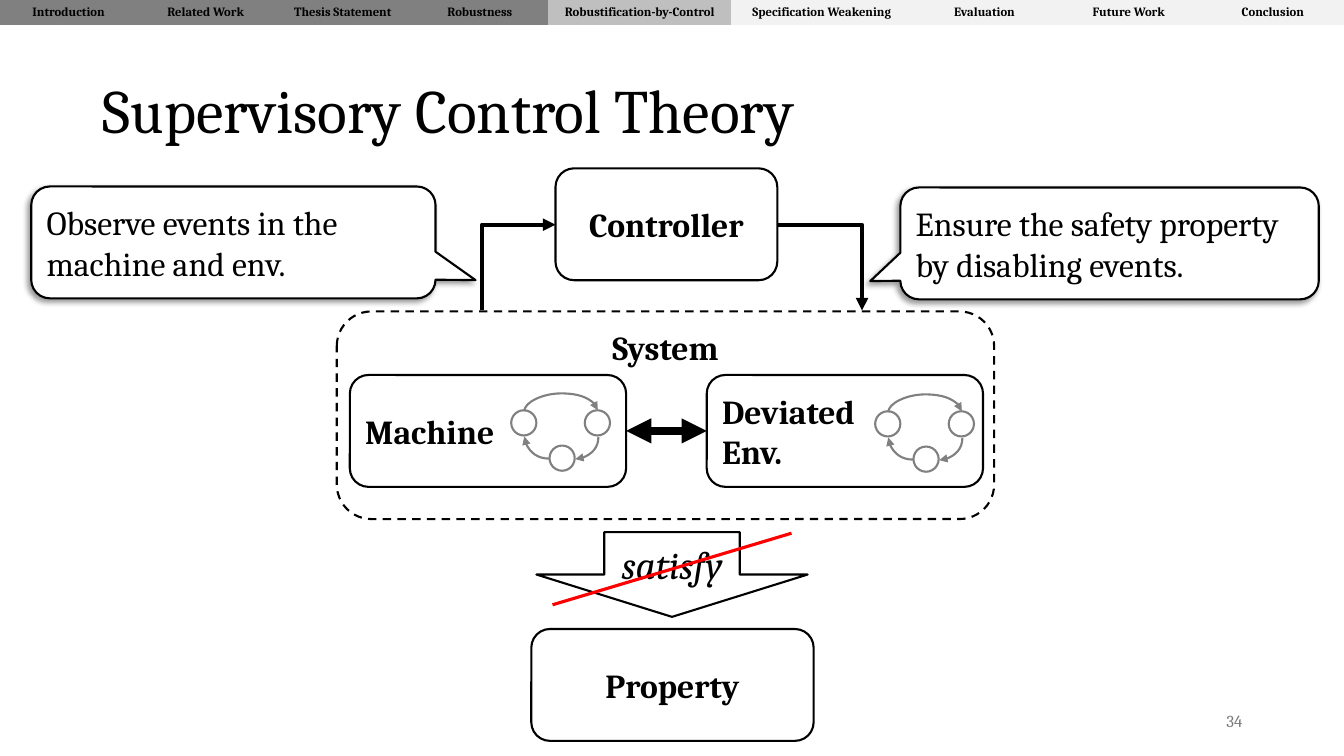
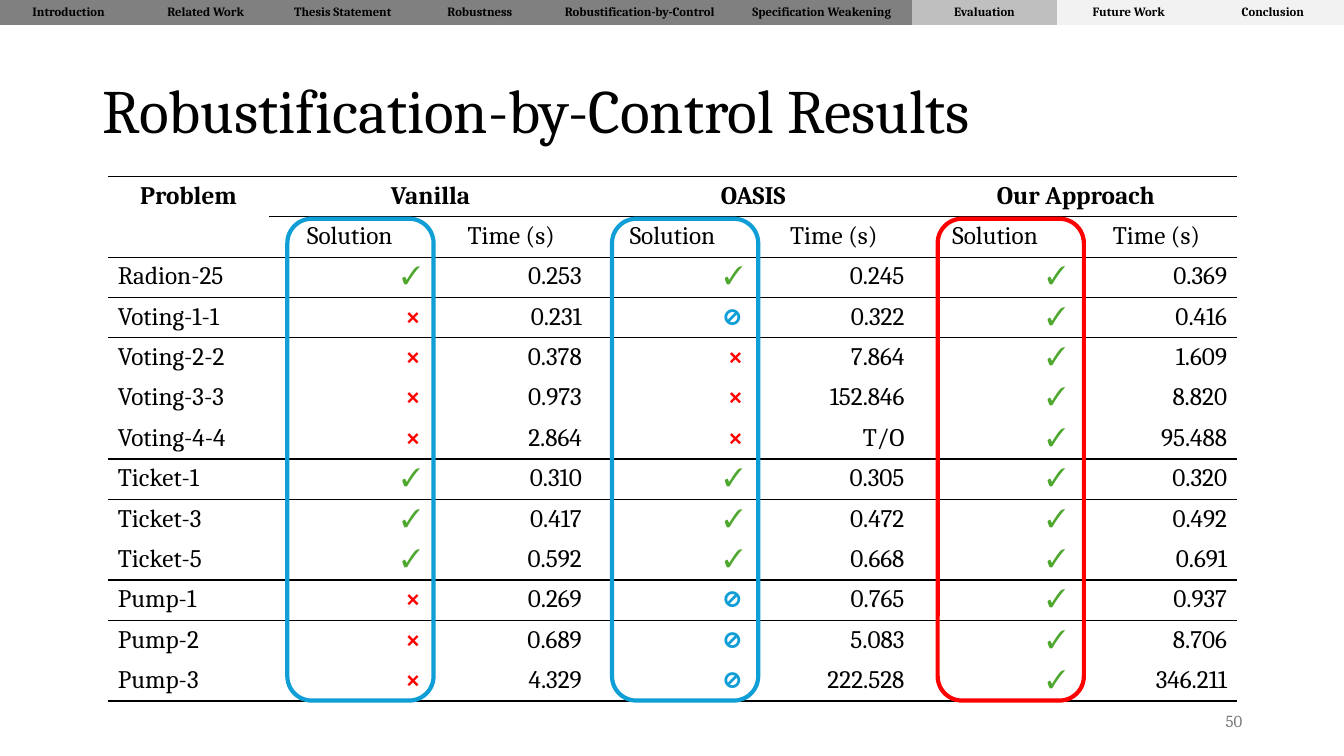
import lxml.etree
import pptx
import pptx.dml.color
import pptx.enum.dml
import pptx.enum.shapes
import pptx.enum.text
import pptx.oxml.ns
import pptx.util

Inches = pptx.util.Inches
RGBColor = pptx.dml.color.RGBColor
SHAPE = pptx.enum.shapes.MSO_SHAPE
CONNECTOR = pptx.enum.shapes.MSO_CONNECTOR
ALIGN = pptx.enum.text.PP_ALIGN
ANCHOR = pptx.enum.text.MSO_ANCHOR

BLACK = RGBColor(0x00, 0x00, 0x00)
WHITE = RGBColor(0xFF, 0xFF, 0xFF)
GRAY = RGBColor(0x80, 0x80, 0x80)
NUMBER_GRAY = RGBColor(0x79, 0x79, 0x79)
CURRENT_GRAY = RGBColor(0xBF, 0xBF, 0xBF)
UPCOMING_GRAY = RGBColor(0xF2, 0xF2, 0xF2)
RED = RGBColor(0xFF, 0x00, 0x00)
GREEN = RGBColor(0x4E, 0xA7, 0x2E)
BLUE = RGBColor(0x0F, 0x9E, 0xD5)

FONT = "Cambria"
PLAIN_TABLE_STYLE = "{2D5ABB26-0587-4C30-8999-92F81FD0307C}"
SECTIONS = ["Introduction", "Related Work", "Thesis Statement", "Robustness",
            "Robustification-by-Control", "Specification Weakening",
            "Evaluation", "Future Work", "Conclusion"]
SECTION_WIDTHS = [1.36] * 4 + [1.81, 1.8] + [1.43] * 3

SYMBOL_COLORS = {"✓": GREEN, "×": RED, "⊘": BLUE}
APPROACHES = ["Vanilla", "OASIS", "Our Approach"]
RESULTS = [
    "Radion-25 ✓ 0.253 ✓ 0.245 ✓ 0.369",
    "Voting-1-1 × 0.231 ⊘ 0.322 ✓ 0.416",
    "Voting-2-2 × 0.378 × 7.864 ✓ 1.609",
    "Voting-3-3 × 0.973 × 152.846 ✓ 8.820",
    "Voting-4-4 × 2.864 × T/O ✓ 95.488",
    "Ticket-1 ✓ 0.310 ✓ 0.305 ✓ 0.320",
    "Ticket-3 ✓ 0.417 ✓ 0.472 ✓ 0.492",
    "Ticket-5 ✓ 0.592 ✓ 0.668 ✓ 0.691",
    "Pump-1 × 0.269 ⊘ 0.765 ✓ 0.937",
    "Pump-2 × 0.689 ⊘ 5.083 ✓ 8.706",
    "Pump-3 × 4.329 ⊘ 222.528 ✓ 346.211",
]
RULED_ROWS = {0, 1, 2, 3, 7, 10, 13}


def add_xml(parent, tag, **attributes):
    child = lxml.etree.SubElement(parent, pptx.oxml.ns.qn(tag))
    for name, value in attributes.items():
        child.set(name, str(value))
    return child


def write_text(frame, text, size=24, color=BLACK, bold=False, italic=False,
               align=ALIGN.LEFT, spacing=None):
    """Fill a text frame, one paragraph for each line of text."""
    for index, line in enumerate(text.split("\n")):
        paragraph = frame.add_paragraph() if index else frame.paragraphs[0]
        paragraph.alignment = align
        if spacing:
            paragraph.line_spacing = spacing
        run = paragraph.add_run()
        run.text = line
        run.font.name = FONT
        run.font.size = pptx.util.Pt(size)
        run.font.bold = bold
        run.font.italic = italic
        run.font.color.rgb = color


def rule_cell(cell, top, bottom):
    """Draw the horizontal borders of a table cell."""
    properties = cell._tc.get_or_add_tcPr()
    sides = [tag for tag, wanted in (("a:lnT", top), ("a:lnB", bottom)) if wanted]
    for index, tag in enumerate(sides):
        border = add_xml(properties, tag, w=pptx.util.Pt(1))
        add_xml(add_xml(border, "a:solidFill"), "a:srgbClr", val=BLACK)
        properties.insert(index, border)


class Deck:
    """Holds the presentation, its style and the current slide."""

    def __init__(self):
        self.presentation = pptx.Presentation()
        self.presentation.slide_width = Inches(13.33)
        self.presentation.slide_height = Inches(7.5)
        self.slide = None

    def start_slide(self, title, number):
        layout = self.presentation.slide_layouts[6]
        self.slide = self.presentation.slides.add_slide(layout)
        self.text_box(0.92, 0.4, 11.5, 1.45, title, size=44, spacing=0.9)
        self.text_box(9.42, 6.95, 3, 0.4, str(number), size=12,
                      color=NUMBER_GRAY, align=ALIGN.RIGHT)

    def text_box(self, left, top, width, height, text, **style):
        box = self.slide.shapes.add_textbox(
            Inches(left), Inches(top), Inches(width), Inches(height))
        box.text_frame.word_wrap = True
        box.text_frame.vertical_anchor = ANCHOR.MIDDLE
        write_text(box.text_frame, text, **style)

    def shape(self, kind, left, top, width, height, text="", fill=WHITE,
              line=BLACK, weight=1.5, anchor=ANCHOR.MIDDLE, **style):
        shape = self.slide.shapes.add_shape(
            kind, Inches(left), Inches(top), Inches(width), Inches(height))
        shape.shadow.inherit = False
        if fill is None:
            shape.fill.background()
        else:
            shape.fill.solid()
            shape.fill.fore_color.rgb = fill
        shape.line.color.rgb = line
        shape.line.width = pptx.util.Pt(weight)
        if text:
            shape.text_frame.word_wrap = True
            shape.text_frame.vertical_anchor = anchor
            write_text(shape.text_frame, text, **style)
        return shape

    def box(self, left, top, width, height, text, align=ALIGN.CENTER, **style):
        """Add a rounded rectangle with a bold label."""
        return self.shape(SHAPE.ROUNDED_RECTANGLE, left, top, width, height,
                          text, bold=True, align=align, **style)

    def callout(self, left, top, width, text, pointer):
        shape = self.shape(SHAPE.ROUNDED_RECTANGULAR_CALLOUT,
                           left, top, width, 1.11, text)
        shape.adjustments[0] = pointer
        shape.adjustments[1] = 0.337
        effects = shape.element.xpath("./p:spPr/a:effectLst")[0]
        shadow = add_xml(effects, "a:outerShdw", blurRad=pptx.util.Pt(4),
                         dist=pptx.util.Pt(3), dir=135 * 60000,
                         algn="tr", rotWithShape=0)
        add_xml(add_xml(shadow, "a:srgbClr", val=BLACK), "a:alpha", val=40000)

    def line(self, begin, end, color=BLACK, weight=1.5, head=False, tail=False):
        connector = self.slide.shapes.add_connector(
            CONNECTOR.STRAIGHT, *map(Inches, begin + end))
        connector.line.color.rgb = color
        connector.line.width = pptx.util.Pt(weight)
        outline = connector.element.xpath(".//a:ln")[0]
        for tag, wanted in (("a:headEnd", head), ("a:tailEnd", tail)):
            if wanted:
                add_xml(outline, tag, type="triangle")
        add_xml(connector.element.spPr, "a:effectLst")
        return connector

    def turning_arrow(self, preset, left, top, width, height, rotation=0,
                      flipped=False, adjustment=None, **style):
        """Add a bent or curved arrow, framed before its rotation."""
        corners = [(left, top), (left + width, top + height)]
        if flipped:
            corners.reverse()
        connector = self.line(*corners, tail=True, **style)
        connector.element.xpath(".//a:xfrm")[0].set("rot", str(rotation * 60000))
        geometry = connector.element.xpath(".//a:prstGeom")[0]
        geometry.set("prst", preset)
        if adjustment:
            add_xml(geometry.xpath("./a:avLst")[0], "a:gd", name="adj1",
                    fmla=f"val {adjustment * 100000}")

    def automaton(self, left, top):
        """Draw three states joined in a cycle."""
        for across, down in ((0, 0), (0.73, 0), (0.38, 0.35)):
            self.shape(SHAPE.OVAL, left + across, top + down, 0.25, 0.25, line=GRAY)
        self.turning_arrow("curvedConnector3", left + 0.49, top - 0.36, 0.01, 0.73,
                           90, flipped=True, adjustment=18, color=GRAY)
        self.turning_arrow("curvedConnector2", left + 0.64, top + 0.26, 0.22, 0.23,
                           90, color=GRAY)
        self.turning_arrow("curvedConnector2", left + 0.13, top + 0.26, 0.25, 0.22,
                           180, color=GRAY)

    def table(self, left, top, widths, row_count, row_height):
        frame = self.slide.shapes.add_table(
            row_count, len(widths), Inches(left), Inches(top),
            Inches(sum(widths)), Inches(row_height * row_count))
        frame.element.xpath(".//a:tableStyleId")[0].text = PLAIN_TABLE_STYLE
        table = frame.table
        table.first_row = table.horz_banding = False
        for column, width in zip(table.columns, widths):
            column.width = Inches(width)
        for row in table.rows:
            row.height = Inches(row_height)
        for cell in table.iter_cells():
            cell.fill.background()
        return table

    def navigation(self, current):
        """Add the section band, shaded by progress."""
        table = self.table(0, 0, SECTION_WIDTHS, 1, 0.25)
        position = SECTIONS.index(current)
        for index, section in enumerate(SECTIONS):
            cell = table.cell(0, index)
            cell.fill.solid()
            cell.fill.fore_color.rgb = (
                GRAY if index < position
                else CURRENT_GRAY if index == position else UPCOMING_GRAY)
            write_text(cell.text_frame, section, size=9, bold=True,
                       align=ALIGN.CENTER)


def build_control_theory(deck):
    deck.start_slide("Supervisory Control Theory", 34)
    system = deck.box(3.34, 3.09, 6.52, 2.06, "System", anchor=ANCHOR.TOP)
    system.line.dash_style = pptx.enum.dml.MSO_LINE.DASH
    machine = deck.box(3.47, 3.72, 2.74, 1.11, "Machine", align=ALIGN.LEFT)
    deck.automaton(5.07, 4.07)
    environment = deck.box(7.01, 3.72, 2.74, 1.11, "Deviated\nEnv.", align=ALIGN.LEFT)
    deck.automaton(8.68, 4.08)
    deck.box(5.27, 6.24, 2.8, 1.11, "Property")
    deck.shape(SHAPE.DOWN_ARROW, 5.32, 5.28, 2.69, 0.84, "satisfy",
               size=28, italic=True, align=ALIGN.CENTER)
    exchange = deck.line((6.21, 4.27), (7.01, 4.27), weight=6, head=True, tail=True)
    exchange.begin_connect(machine, 3)
    exchange.end_connect(environment, 1)
    deck.box(5.51, 1.67, 2.2, 1.11, "Controller")
    deck.turning_arrow("bentConnector2", 4.72, 2.29, 0.85, 0.73, 90,
                       flipped=True, weight=3)
    deck.turning_arrow("bentConnector2", 7.71, 2.23, 0.84, 0.85, weight=3)
    deck.callout(0.31, 1.85, 4.01, "Observe events in the machine and env.", 0.599)
    deck.callout(8.93, 1.86, 4.15,
                 "Ensure the safety property by disabling events.", -0.572)
    deck.line((7.85, 5.29), (5.48, 6), color=RED, weight=2.25)
    deck.navigation("Robustification-by-Control")


def build_results(deck):
    deck.start_slide("Robustification-by-Control Results", 50)
    deck.navigation("Evaluation")
    table = deck.table(1.07, 1.75, [1.6] * 7, len(RESULTS) + 2, 0.39)
    for row in range(len(RESULTS) + 2):
        for column in range(7):
            inside_problem = column == 0
            rule_cell(table.cell(row, column),
                      row in RULED_ROWS and not (inside_problem and row == 1),
                      row + 1 in RULED_ROWS and not (inside_problem and row == 0))
    table.cell(0, 0).merge(table.cell(1, 0))
    header = {"size": 18, "align": ALIGN.CENTER}
    write_text(table.cell(0, 0).text_frame, "Problem", bold=True, **header)
    for index, approach in enumerate(APPROACHES):
        column = 1 + 2 * index
        table.cell(0, column).merge(table.cell(0, column + 1))
        write_text(table.cell(0, column).text_frame, approach, bold=True, **header)
        write_text(table.cell(1, column).text_frame, "Solution", **header)
        write_text(table.cell(1, column + 1).text_frame, "Time (s)", **header)
    for row, result in enumerate(RESULTS, start=2):
        for column, value in enumerate(result.split()):
            write_text(table.cell(row, column).text_frame, value, size=18,
                       color=SYMBOL_COLORS.get(value, BLACK),
                       bold=value in SYMBOL_COLORS,
                       align=ALIGN.RIGHT if column else ALIGN.LEFT)
    for left, color in ((9.3, RED), (2.85, BLUE), (6.07, BLUE)):
        deck.shape(SHAPE.ROUNDED_RECTANGLE, left, 2.17, 1.45, 4.78,
                   fill=None, line=color, weight=3)


def main():
    deck = Deck()
    build_control_theory(deck)
    build_results(deck)
    deck.presentation.save("out.pptx")


if __name__ == "__main__":
    main()
